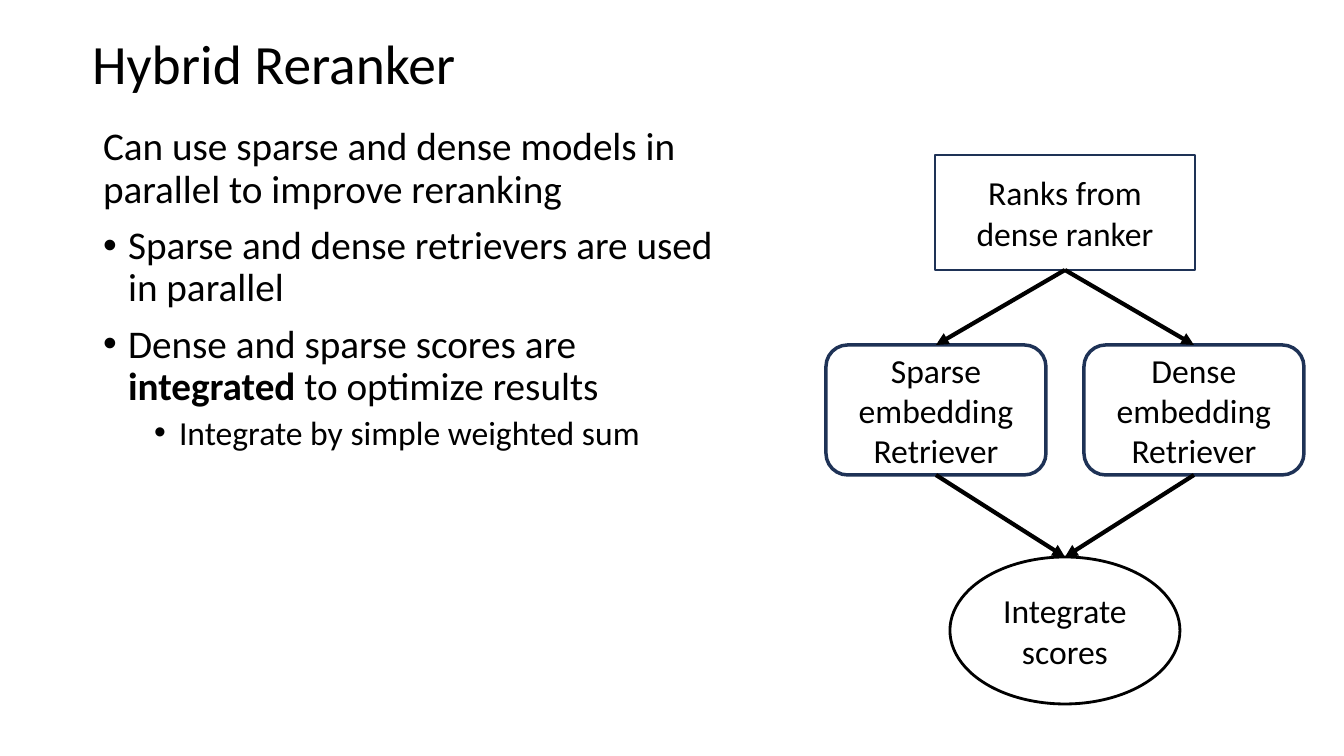
from dataclasses import dataclass
from lxml.etree import SubElement
from pptx import Presentation
from pptx.dml.color import RGBColor
from pptx.enum.shapes import MSO_CONNECTOR, MSO_SHAPE
from pptx.enum.text import MSO_ANCHOR, MSO_AUTO_SIZE, PP_ALIGN
from pptx.oxml.ns import qn
from pptx.util import Pt

SCALE = 914400 / 100.8


@dataclass(frozen=True)
class Theme:
    face: str = "Calibri"
    black: str = "000000"
    navy: str = "1E3256"
    head: float = 39.6
    body: int = 28
    small: int = 24


THEME = Theme()

POINTS = [
    (0, 0, [("Can use sparse and dense models in parallel to improve reranking", False)]),
    (0, 25, [("Sparse and dense retrievers are used in parallel", False)]),
    (1, 76, [("Integrate by simple weighted sum", False)]),
]
POINTS.insert(2, (0, 25, [
    ("Dense and sparse scores are ", False),
    ("integrated", True),
    (" to optimize results", False),
]))


def px(count):
    return round(count * SCALE)


def apply(item, values):
    for name, value in values.items():
        setattr(item, name, value)


def place(shape, box):
    apply(shape, dict(zip(("left", "top", "width", "height"), map(px, box))))


def write(para, text, size, bold=False):
    run = para.add_run()
    run.text = text
    apply(run.font, {"name": THEME.face, "size": Pt(size), "bold": bold})
    run.font.color.rgb = RGBColor.from_string(THEME.black)


def stroke(item, color, width):
    item.line.color.rgb = RGBColor.from_string(color)
    item.line.width = Pt(width)


def add_title(slide, text, box):
    title = slide.shapes.title
    place(title, box)
    frame = title.text_frame
    apply(frame, {"auto_size": MSO_AUTO_SIZE.NONE, "vertical_anchor": MSO_ANCHOR.MIDDLE})
    para = frame.paragraphs[0]
    apply(para, {"alignment": PP_ALIGN.LEFT, "line_spacing": 0.9})
    write(para, text, THEME.head)


def add_list(slide, points, box):
    body = slide.placeholders[1]
    place(body, box)
    frame = body.text_frame
    apply(frame, {"auto_size": MSO_AUTO_SIZE.NONE, "vertical_anchor": MSO_ANCHOR.TOP})
    for index, (level, margin, parts) in enumerate(points):
        para = frame.add_paragraph() if index else frame.paragraphs[0]
        apply(para, {"level": level, "line_spacing": 0.9,
                     "space_before": Pt(5 if level else 10)})
        props = para._p.get_or_add_pPr()
        props.set("marL", str(px(margin)))
        props.set("indent", str(px(-25 if margin else 0)))
        if margin:
            SubElement(props, qn("a:buFont"), typeface="Arial")
            SubElement(props, qn("a:buChar"), char="•")
        else:
            SubElement(props, qn("a:buNone"))
        for text, bold in parts:
            write(para, text, THEME.small if level else THEME.body, bold)


def add_node(slide, kind, text, box, color, width):
    node = slide.shapes.add_shape(kind, *map(px, box))
    node.shadow.inherit = False
    node.fill.background()
    stroke(node, color, width)
    frame = node.text_frame
    apply(frame, {"word_wrap": True, "vertical_anchor": MSO_ANCHOR.MIDDLE})
    para = frame.paragraphs[0]
    para.alignment = PP_ALIGN.CENTER
    write(para, text, THEME.small)
    return node


def add_arrow(slide, start, end):
    arrow = slide.shapes.add_connector(MSO_CONNECTOR.STRAIGHT, 0, 0, 0, 0)
    arrow.begin_connect(start, 2 if start.auto_shape_type != MSO_SHAPE.OVAL else 4)
    arrow.end_connect(end, 0)
    stroke(arrow, THEME.black, 3)
    SubElement(arrow.line._get_or_add_ln(), qn("a:tailEnd"), type="triangle")
    SubElement(arrow._element.spPr, qn("a:effectLst"))


def main():
    deck = Presentation()
    apply(deck, {"slide_width": px(1344), "slide_height": px(756)})
    slide = deck.slides.add_slide(deck.slide_layouts[1])
    add_title(slide, "Hybrid Reranker", (82, 32, 1159, 70))
    add_list(slide, POINTS, (93, 122, 662, 596))
    ranks = add_node(slide, MSO_SHAPE.RECTANGLE, "Ranks from dense ranker",
                     (935, 155, 260, 115), THEME.navy, 2)
    pair = [
        add_node(slide, MSO_SHAPE.ROUNDED_RECTANGLE, f"{name} embedding Retriever",
                 (826 + 258 * index, 345, 220, 130), THEME.navy, 2.5)
        for index, name in enumerate(("Sparse", "Dense"))
    ]
    scores = add_node(slide, MSO_SHAPE.OVAL, "Integrate scores",
                      (950, 557, 230, 147), THEME.black, 2)
    for node in pair:
        add_arrow(slide, ranks, node)
        add_arrow(slide, node, scores)
    deck.save("out.pptx")


if __name__ == "__main__":
    main()
